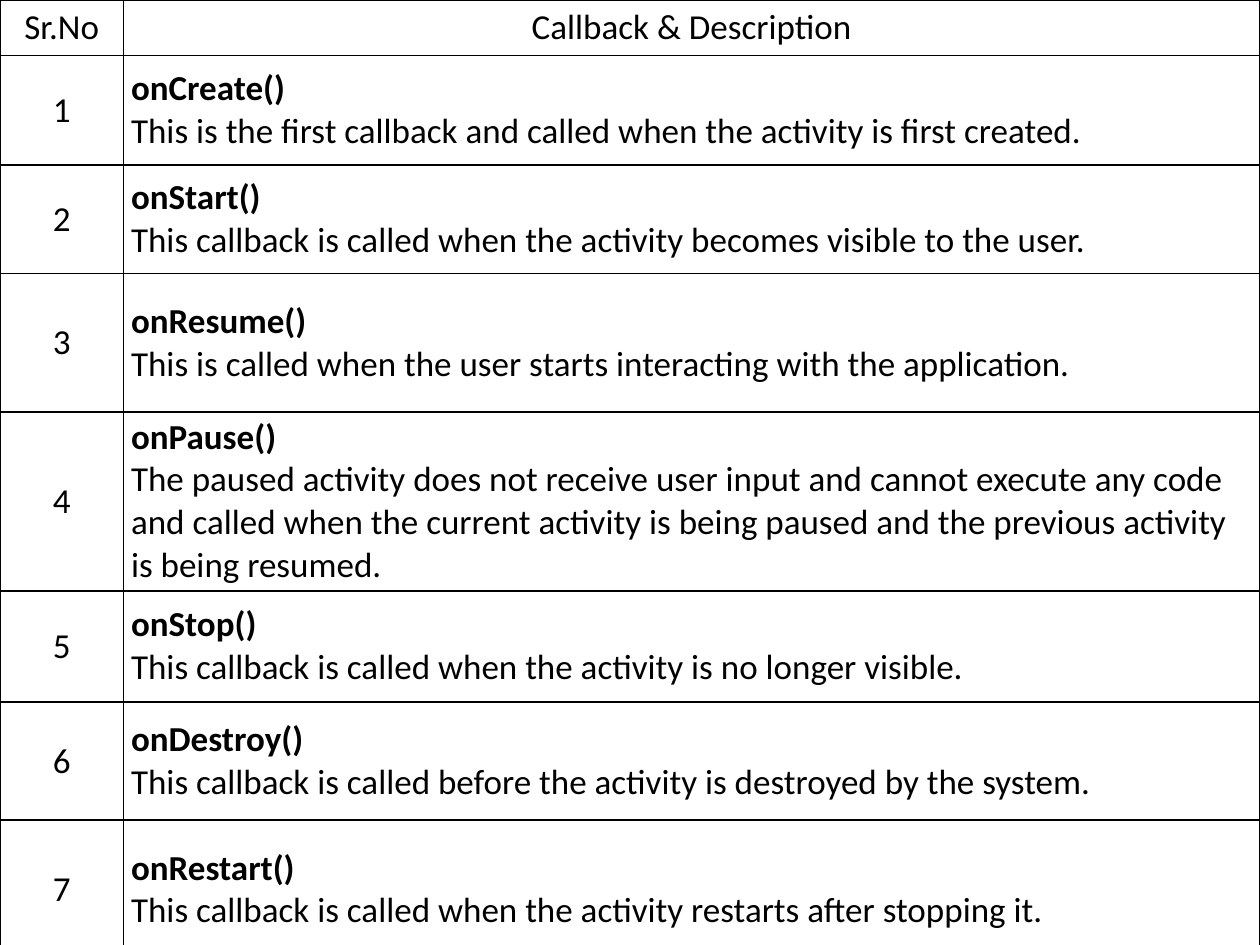
from dataclasses import dataclass

from lxml.etree import SubElement
from pptx import Presentation
from pptx.dml.color import RGBColor
from pptx.enum.text import MSO_ANCHOR, PP_ALIGN
from pptx.oxml.ns import qn
from pptx.table import _Cell
from pptx.util import Inches, Pt

BLACK = RGBColor(0x00, 0x00, 0x00)
FONT = "Calibri"
COL_WIDTHS = (0.98, 9.02)
HEADER_HEIGHT = 0.44


@dataclass
class Callback:
    name: str
    description: str
    height: float


CALLBACKS = [
    Callback("onCreate()", "This is the first callback and called when the activity "
             "is first created.", 0.87),
    Callback("onStart()", "This callback is called when the activity becomes visible "
             "to the user.", 0.86),
    Callback("onResume()", "This is called when the user starts interacting with the "
             "application.", 1.1),
    Callback("onPause()", "The paused activity does not receive user input and cannot "
             "execute any code and called when the current activity is being paused "
             "and the previous activity is being resumed.", 1.42),
    Callback("onStop()", "This callback is called when the activity is no longer "
             "visible.", 0.88),
    Callback("onDestroy()", "This callback is called before the activity is destroyed "
             "by the system.", 0.94),
    Callback("onRestart()", "This callback is called when the activity restarts after "
             "stopping it.", 1.1),
]


def add_text(p, text: str, *, bold: bool = False, align=PP_ALIGN.LEFT,
             size: float = 20) -> None:
    p.alignment = align
    r = p.add_run()
    r.text = text
    r.font.name = FONT
    r.font.size = Pt(size)
    r.font.bold = bold
    r.font.color.rgb = BLACK


def format_cell(cell: _Cell) -> None:
    cell.margin_left = cell.margin_right = Inches(0.06)
    cell.margin_top = cell.margin_bottom = Inches(0.03)
    cell.vertical_anchor = MSO_ANCHOR.MIDDLE
    # Borders come before the fill in the cell properties
    tcPr = cell._tc.get_or_add_tcPr()
    for side in ("a:lnL", "a:lnR", "a:lnT", "a:lnB"):
        ln = SubElement(tcPr, qn(side), w=str(Pt(1)))
        fill = SubElement(ln, qn("a:solidFill"))
        SubElement(fill, qn("a:srgbClr"), val=str(BLACK))
    cell.fill.background()


prs = Presentation()
prs.slide_width, prs.slide_height = Inches(10), Inches(7.5)
s = prs.slides.add_slide(prs.slide_layouts[6])

# Table grid
heights = [HEADER_HEIGHT] + [c.height for c in CALLBACKS]
table = s.shapes.add_table(len(heights), len(COL_WIDTHS), Inches(0), Inches(0),
                           Inches(sum(COL_WIDTHS)), Inches(sum(heights))).table
table.first_row = table.horz_banding = False
for col, width in zip(table.columns, COL_WIDTHS):
    col.width = Inches(width)
for row, height in zip(table.rows, heights):
    row.height = Inches(height)
for cell in table.iter_cells():
    format_cell(cell)

# Header row
for i, title in enumerate(("Sr.No", "Callback & Description")):
    add_text(table.cell(0, i).text_frame.paragraphs[0], title, align=PP_ALIGN.CENTER)

# Callback rows
for n, callback in enumerate(CALLBACKS, start=1):
    add_text(table.cell(n, 0).text_frame.paragraphs[0], str(n), align=PP_ALIGN.CENTER)
    tf = table.cell(n, 1).text_frame
    add_text(tf.paragraphs[0], callback.name, bold=True)
    add_text(tf.add_paragraph(), callback.description)

prs.save("out.pptx")
